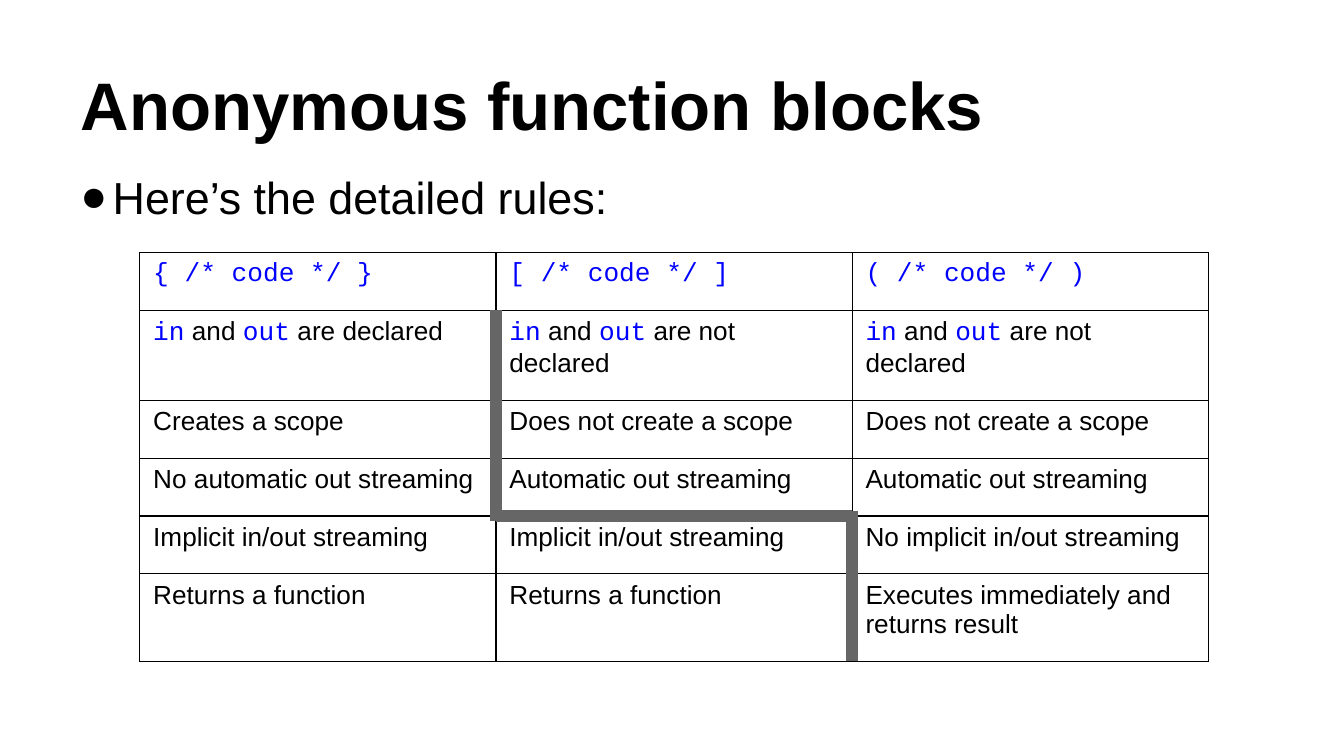
"""Build a slide that tabulates the rules of anonymous function blocks."""
from dataclasses import dataclass
from itertools import accumulate

from lxml.etree import SubElement
from pptx import Presentation
from pptx.dml.color import RGBColor
from pptx.enum.shapes import MSO_CONNECTOR as Line
from pptx.enum.text import MSO_ANCHOR as Anchor, MSO_AUTO_SIZE as AutoSize, PP_ALIGN as Align
from pptx.oxml.ns import qn
from pptx.util import Inches, Pt

COLORS = {"text": "000000", "code": "0000FF", "divider": "666666", "border": "000000"}
WIDTH = 10
HEIGHT = WIDTH * 9 / 16
MARGIN = 0.05 * WIDTH
LEFT, TOP = 1.04, 1.88
COL_WIDTH = 2.65
ROW_HEIGHTS = [0.43, 0.67, 0.43, 0.43, 0.43, 0.65]
ROW_EDGES = list(accumulate(ROW_HEIGHTS, initial=TOP))
OVERLAP = 0.04
RULES = [
    ["`{ /* code */ }`", "`[ /* code */ ]`", "`( /* code */ )`"],
    ["`in` and `out` are declared"] + ["`in` and `out` are not declared"] * 2,
    ["Creates a scope"] + ["Does not create a scope"] * 2,
    ["No automatic out streaming"] + ["Automatic out streaming"] * 2,
    ["Implicit in/out streaming"] * 2 + ["No implicit in/out streaming"],
    ["Returns a function"] * 2 + ["Executes immediately and returns result"],
]


@dataclass
class Divider:
    """A thick line between two grid corners, lengthened vertically at its ends."""
    start: tuple[int, int]
    end: tuple[int, int]
    above: float = 0
    below: float = 0


DIVIDERS = [
    Divider((1, 1), (1, 4), below=OVERLAP),
    Divider((1, 4), (2, 4)),
    Divider((2, 4), (2, 6), above=OVERLAP),
]


def write(tf, text: str, *, size: float, bold: bool = False, align: Align = Align.LEFT) -> None:
    """Write one paragraph, with parts between backticks set as code."""
    p = tf.paragraphs[0]
    p.alignment = align
    for i, part in enumerate(text.split("`")):
        if part:
            kind, font = ("code", "Courier New") if i % 2 else ("text", "Arial")
            r = p.add_run()
            r.text = part
            r.font.name, r.font.size, r.font.bold = font, Pt(size), bold
            r.font.color.rgb = RGBColor.from_string(COLORS[kind])


def set_frame(sp, left: float, top: float, width: float, height: float, anchor: Anchor):
    """Place a text shape, set its frame and return the frame."""
    sp.left, sp.top, sp.width, sp.height = map(Inches, (left, top, width, height))
    tf = sp.text_frame
    tf.word_wrap, tf.auto_size, tf.vertical_anchor = True, AutoSize.NONE, anchor
    tf.margin_left = tf.margin_right = tf.margin_top = tf.margin_bottom = Inches(0.1)
    return tf


def add_bullet(p, indent: float) -> None:
    """Give a paragraph a round bullet with a hanging indent."""
    pPr = p._p.get_or_add_pPr()
    pPr.set("marL", str(Inches(indent)))
    pPr.set("indent", str(-Inches(indent)))
    SubElement(pPr, qn("a:buFont"), typeface="Arial")
    SubElement(pPr, qn("a:buChar"), char="●")


def add_borders(cell, width: float) -> None:
    """Draw all four borders of a cell."""
    tcPr = cell._tc.get_or_add_tcPr()
    for i, side in enumerate(("lnL", "lnR", "lnT", "lnB")):
        ln = tcPr.makeelement(qn(f"a:{side}"), {"w": str(Pt(width))})
        fill = SubElement(ln, qn("a:solidFill"))
        SubElement(fill, qn("a:srgbClr"), val=COLORS["border"])
        tcPr.insert(i, ln)


def add_rules(s) -> None:
    """Add the table of rules."""
    rows, cols = len(RULES), len(RULES[0])
    table = s.shapes.add_table(rows, cols, Inches(LEFT), Inches(TOP),
                               Inches(cols * COL_WIDTH), Inches(sum(ROW_HEIGHTS))).table
    table.first_row = table.horz_banding = False
    for col in table.columns:
        col.width = Inches(COL_WIDTH)
    for row, height, texts in zip(table.rows, ROW_HEIGHTS, RULES):
        row.height = Inches(height)
        for cell, text in zip(row.cells, texts):
            cell.fill.background()
            add_borders(cell, 0.75)
            write(cell.text_frame, text, size=14)


def add_divider(s, divider: Divider) -> None:
    """Draw one divider along the table grid."""
    (col1, row1), (col2, row2) = divider.start, divider.end
    line = s.shapes.add_connector(
        Line.STRAIGHT,
        Inches(LEFT + col1 * COL_WIDTH), Inches(ROW_EDGES[row1] - divider.above),
        Inches(LEFT + col2 * COL_WIDTH), Inches(ROW_EDGES[row2] + divider.below))
    line.line.color.rgb = RGBColor.from_string(COLORS["divider"])
    line.line.width = Pt(6)
    SubElement(line._element.spPr, qn("a:effectLst"))


def main() -> None:
    """Build and save the slide."""
    prs = Presentation()
    prs.slide_width, prs.slide_height = Inches(WIDTH), Inches(HEIGHT)
    s = prs.slides.add_slide(prs.slide_layouts[5])
    content = WIDTH - 2 * MARGIN

    tf = set_frame(s.shapes.title, MARGIN, 0.23, content, 0.94, Anchor.BOTTOM)
    write(tf, "Anonymous function blocks", size=36, bold=True)

    body = s.shapes.add_textbox(0, 0, 0, 0)
    tf = set_frame(body, MARGIN, 1.16, content, 4.07, Anchor.TOP)
    write(tf, "Here’s the detailed rules:", size=24)
    add_bullet(tf.paragraphs[0], 0.24)

    add_rules(s)
    for divider in DIVIDERS:
        add_divider(s, divider)
    prs.save("out.pptx")


main()
